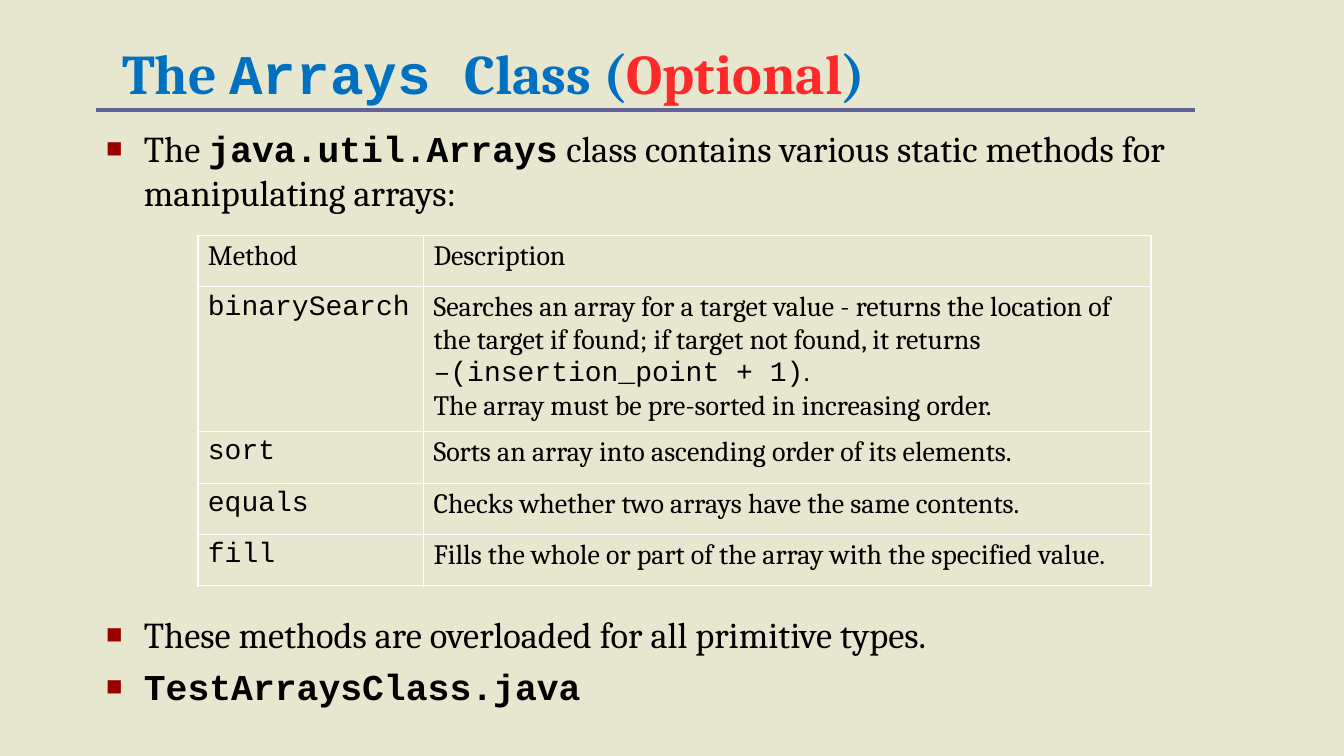
from lxml import etree
from pptx import Presentation
from pptx.dml.color import RGBColor
from pptx.enum import shapes, text
from pptx.oxml import ns
from pptx.util import Pt

SERIF, MONO = "Cambria", "Courier New"
BEIGE = RGBColor(0xE7, 0xE7, 0xCF)
BLUE = RGBColor(0x00, 0x70, 0xC0)
RED = RGBColor(0xFF, 0x29, 0x29)
BLACK = RGBColor(0, 0, 0)
MAROON = RGBColor(0x99, 0, 0)
PURPLE = RGBColor(0x62, 0x62, 0x97)
WHITE = RGBColor(0xFF, 0xFF, 0xFF)

# A run is (text, font name) plus an optional colour.
TITLE = [("The ", SERIF), ("Arrays ", MONO), ("Class (", SERIF),
         ("Optional", SERIF, RED), (")", SERIF)]
# Each bullet: space before, runs. The second leaves room for the table.
BULLETS = [
    (0, [("The ", SERIF), ("java.util.Arrays", MONO),
         (" class contains various static methods for manipulating arrays:", SERIF)]),
    (285, [("These methods are overloaded for all primitive types.", SERIF)]),
    (6, [("TestArraysClass.java", MONO)]),
]
# Each cell is a list of paragraphs, each paragraph a list of runs.
METHODS = [
    ([[("Method", SERIF)]], [[("Description", SERIF)]]),
    ([[("binarySearch", MONO)]],
     [[("Searches an array for a target value - returns the location of the target "
        "if found; if target not found, it returns", SERIF)],
      [("–(insertion_point + 1)", MONO), (".", SERIF)],
      [("The array must be pre-sorted in increasing order.", SERIF)]]),
    ([[("sort", MONO)]],
     [[("Sorts an array into ascending order of its elements.", SERIF)]]),
    ([[("equals", MONO)]],
     [[("Checks whether two arrays have the same contents.", SERIF)]]),
    ([[("fill", MONO)]],
     [[("Fills the whole or part of the array with the specified value.", SERIF)]]),
]
COLUMN_WIDTHS = [161.3, 519.8]
ROW_HEIGHTS = [36.75, 103.5, 36.75, 36.75, 36.75]
OUTER_BORDER, INNER_BORDER = 1.08, 0.45


def place(shape, left, top, width, height):
    shape.left, shape.top = Pt(left), Pt(top)
    shape.width, shape.height = Pt(width), Pt(height)


def write(paragraph, runs, size, colour, bold=False, mono_bold=False):
    """Fill a paragraph, keeping on it every font setting its runs share."""
    font = paragraph.font
    font.size, font.color.rgb = Pt(size), colour
    names = {run[1] for run in runs}
    bolds = {bold or (mono_bold and name == MONO) for name in names}
    if len(names) == 1:
        font.name = runs[0][1]
    if len(bolds) == 1:
        font.bold = bolds.copy().pop()
    for content, name, *own_colour in runs:
        run = paragraph.add_run()
        run.text = content
        if len(names) > 1:
            run.font.name = name
        if len(bolds) > 1:
            run.font.bold = name == MONO
        if own_colour:
            run.font.color.rgb = own_colour[0]


def add_bullet(paragraph):
    properties = paragraph._p.get_or_add_pPr()
    properties.set("marL", str(Pt(27)))
    properties.set("indent", str(Pt(-27)))
    colour = etree.SubElement(properties, ns.qn("a:buClr"))
    etree.SubElement(colour, ns.qn("a:srgbClr"), val=str(MAROON))
    etree.SubElement(properties, ns.qn("a:buSzPct"), val="75000")
    etree.SubElement(properties, ns.qn("a:buChar"), char="■")


def add_borders(cell, widths):
    properties = cell._tc.get_or_add_tcPr()
    for side, width in zip("LRTB", widths):
        line = etree.SubElement(properties, ns.qn(f"a:ln{side}"), w=str(Pt(width)))
        fill = etree.SubElement(line, ns.qn("a:solidFill"))
        etree.SubElement(fill, ns.qn("a:srgbClr"), val=str(WHITE))


def paragraphs_for(frame, count):
    """Return the frame's first paragraph followed by new ones."""
    return [frame.paragraphs[0]] + [frame.add_paragraph() for _ in range(count - 1)]


presentation = Presentation()
presentation.slide_width, presentation.slide_height = Pt(960.5), Pt(540)
slide = presentation.slides.add_slide(presentation.slide_layouts[1])
slide.background.fill.solid()
slide.background.fill.fore_color.rgb = BEIGE

title, body = slide.placeholders
place(title, 80, 22.3, 712, 56.2)
title.text_frame.auto_size = text.MSO_AUTO_SIZE.NONE
title.text_frame.vertical_anchor = text.MSO_ANCHOR.BOTTOM
heading = title.text_frame.paragraphs[0]
heading.alignment = text.PP_ALIGN.LEFT
heading.line_spacing = 0.8
write(heading, TITLE, 40, BLUE, bold=True)

place(body, 68.6, 86.4, 806.4, 424)
body.text_frame.auto_size = text.MSO_AUTO_SIZE.NONE
for paragraph, (space, runs) in zip(
        paragraphs_for(body.text_frame, len(BULLETS)), BULLETS):
    add_bullet(paragraph)
    paragraph.space_before = Pt(space)
    write(paragraph, runs, 26, BLACK, mono_bold=True)

table = slide.shapes.add_table(
    len(METHODS), len(COLUMN_WIDTHS), Pt(141.4), Pt(168),
    Pt(sum(COLUMN_WIDTHS)), Pt(sum(ROW_HEIGHTS))).table
table.first_row = table.horz_banding = False
for column, width in zip(table.columns, COLUMN_WIDTHS):
    column.width = Pt(width)
for row, height in zip(table.rows, ROW_HEIGHTS):
    row.height = Pt(height)
for i, method in enumerate(METHODS):
    for j, content in enumerate(method):
        cell = table.cell(i, j)
        on_edge = (j == 0, j == len(COLUMN_WIDTHS) - 1, i == 0, i == len(METHODS) - 1)
        add_borders(cell, [OUTER_BORDER if edge else INNER_BORDER for edge in on_edge])
        cell.fill.background()
        for paragraph, runs in zip(
                paragraphs_for(cell.text_frame, len(content)), content):
            write(paragraph, runs, 20, BLACK)

rule = slide.shapes.add_connector(
    shapes.MSO_CONNECTOR.STRAIGHT, Pt(68.6), Pt(78.6), Pt(854), Pt(78.6))
rule.line.color.rgb = PURPLE
rule.line.width = Pt(2.25)
etree.SubElement(rule._element.spPr, ns.qn("a:effectLst"))

presentation.save("out.pptx")
